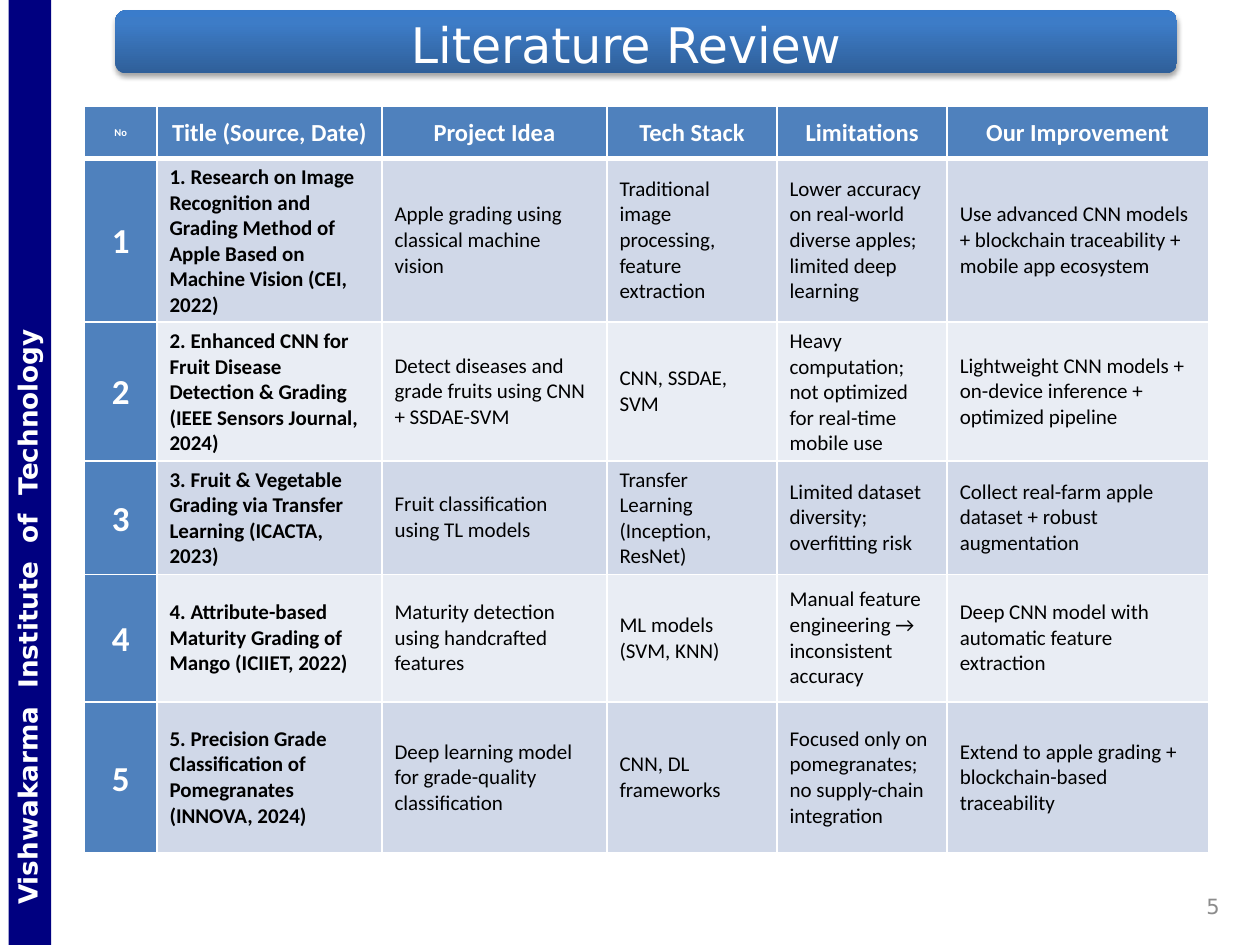
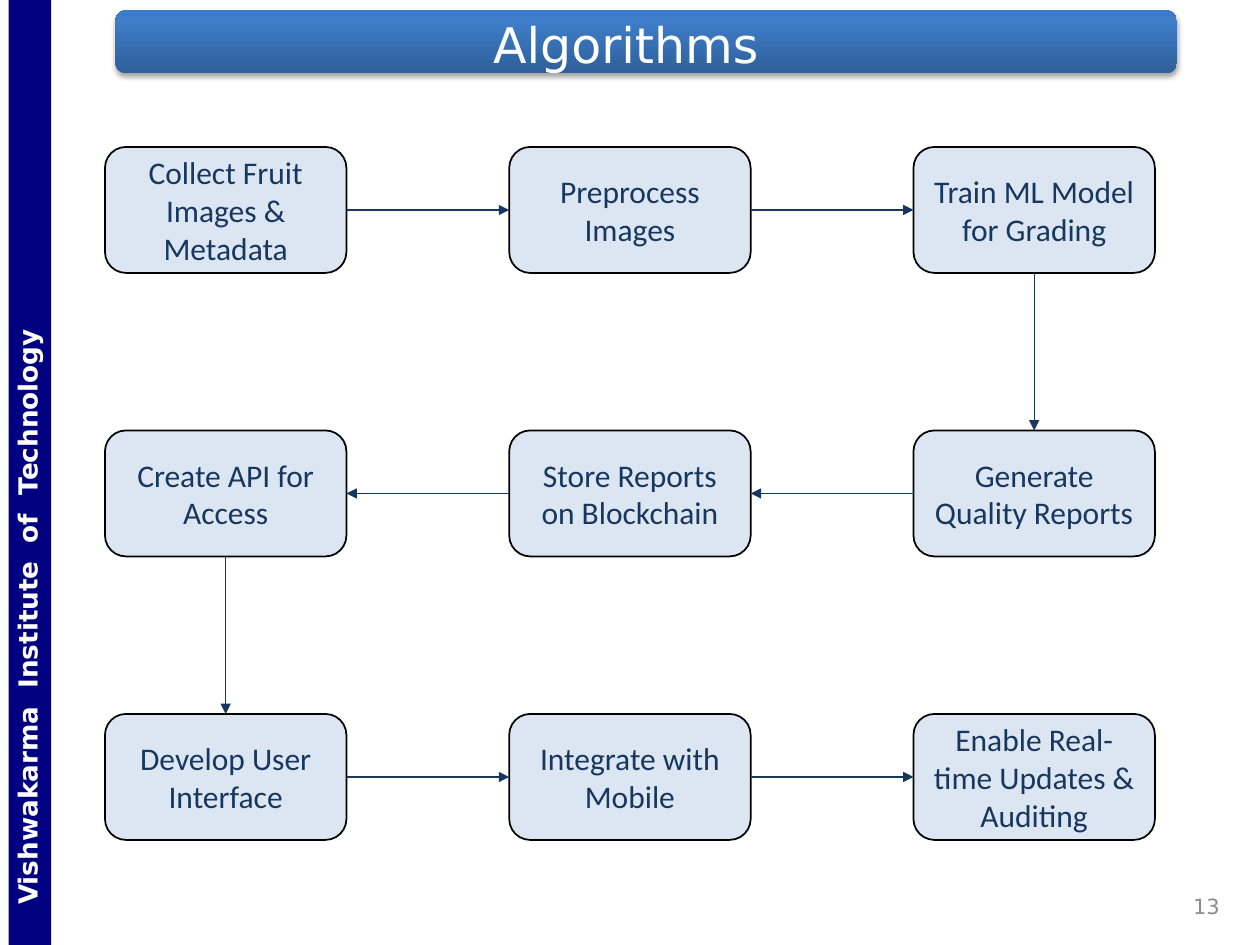
from pptx import Presentation
from pptx import util as u
from pptx.dml.color import RGBColor
from pptx.enum import shapes, text
from pptx.oxml import parse_xml
from pptx.oxml.ns import nsdecls, qn

Pt = u.Pt
ALIGN = text.PP_ALIGN
MIDDLE = text.MSO_ANCHOR.MIDDLE
WIDTH, HEIGHT = 720, 540
BODY_FONT, FRAME_FONT = "Calibri", "DejaVu Sans"
WHITE, BLACK, NAVY, GREY = "FFFFFF", "000000", "000080", "8C8C8C"
HEADER_BLUE, ROW_TINTS = "4F81BD", ("D0D8E8", "E9EDF4")
STEP_FILL, STEP_INK = "DCE6F2", "17375E"
TITLE_GRADIENT = ((0, "2F5F99"), (80, "3D7CC7"), (100, "3A7CCB"))
INSTITUTE = "Vishwakarma Institute of Technology"

COLUMN_WIDTHS = (41.4, 128.6, 128.6, 97.2, 97.2, 149.2)
ROW_HEIGHTS = (30, 86.4, 73, 60, 73, 86.4)
HEADINGS = ("No", "Title (Source, Date)", "Project Idea", "Tech Stack",
            "Limitations", "Our Improvement")
PAPERS = (
    ("1. Research on Image Recognition and Grading Method of Apple Based on Machine Vision (CEI, 2022)",
     "Apple grading using classical machine vision",
     "Traditional image processing, feature extraction",
     "Lower accuracy on real-world diverse apples; limited deep learning",
     "Use advanced CNN models + blockchain traceability + mobile app ecosystem"),
    ("2. Enhanced CNN for Fruit Disease Detection & Grading (IEEE Sensors Journal, 2024)",
     "Detect diseases and grade fruits using CNN + SSDAE-SVM",
     "CNN, SSDAE, SVM",
     "Heavy computation; not optimized for real-time mobile use",
     "Lightweight CNN models + on-device inference + optimized pipeline"),
    ("3. Fruit & Vegetable Grading via Transfer Learning (ICACTA, 2023)",
     "Fruit classification using TL models",
     "Transfer Learning (Inception, ResNet)",
     "Limited dataset diversity; overfitting risk",
     "Collect real-farm apple dataset + robust augmentation"),
    ("4. Attribute-based Maturity Grading of Mango (ICIIET, 2022)",
     "Maturity detection using handcrafted features",
     "ML models (SVM, KNN)",
     "Manual feature engineering → inconsistent accuracy",
     "Deep CNN model with automatic feature extraction"),
    ("5. Precision Grade Classification of Pomegranates (INNOVA, 2024)",
     "Deep learning model for grade-quality classification",
     "CNN, DL frameworks",
     "Focused only on pomegranates; no supply-chain integration",
     "Extend to apple grading + blockchain-based traceability"),
)
STEPS = (
    "Collect Fruit Images & Metadata", "Preprocess Images", "Train ML Model for Grading",
    "Generate Quality Reports", "Store Reports on Blockchain", "Create API for Access",
    "Develop User Interface", "Integrate with Mobile", "Enable Real-time Updates & Auditing",
)


def color(value):
    return RGBColor.from_string(value)


def write(frame, words, size, ink, font=BODY_FONT, bold=False, align=ALIGN.LEFT,
          line_spacing=None, word_gap=0):
    """Fill a text frame; word_gap widens each space, in points."""
    paragraph = frame.paragraphs[0]
    paragraph.alignment = align
    if line_spacing:
        paragraph.line_spacing = line_spacing
    pieces = words.replace(" ", "| |").split("|") if word_gap else [words]
    for piece in pieces:
        run = paragraph.add_run()
        run.text = piece
        run.font.size, run.font.name, run.font.bold = Pt(size), font, bold
        run.font.color.rgb = color(ink)
        if piece == " ":
            run._r.get_or_add_rPr().set("spc", str(round(word_gap * 100)))


def set_insets(holder, left, top, right, bottom):
    holder.margin_left, holder.margin_top = Pt(left), Pt(top)
    holder.margin_right, holder.margin_bottom = Pt(right), Pt(bottom)


def add_panel(slide, kind, box, fill=None, line=None):
    shape = slide.shapes.add_shape(kind, *map(Pt, box))
    shape.shadow.inherit = False
    if fill:
        shape.fill.solid()
        shape.fill.fore_color.rgb = color(fill)
    else:
        shape.fill.background()
    if line:
        shape.line.color.rgb, shape.line.width = color(line), Pt(1)
    else:
        shape.line.fill.background()
    shape.text_frame.word_wrap = True
    return shape


def add_label(slide, box, words, **style):
    frame = slide.shapes.add_textbox(*map(Pt, box)).text_frame
    frame.word_wrap = True
    frame.vertical_anchor = MIDDLE
    write(frame, words, font=FRAME_FONT, **style)
    return frame


def add_title_bar(slide, box):
    properties = add_panel(slide, shapes.MSO_SHAPE.ROUNDED_RECTANGLE, box)._element.spPr
    stops = "".join(f'<a:gs pos="{place * 1000}"><a:srgbClr val="{value}"/></a:gs>'
                    for place, value in TITLE_GRADIENT)
    properties.replace(properties.find(qn("a:noFill")), parse_xml(
        f'<a:gradFill {nsdecls("a")} rotWithShape="1"><a:gsLst>{stops}</a:gsLst>'
        '<a:lin ang="16200000" scaled="0"/></a:gradFill>'))
    properties.find(qn("a:effectLst")).append(parse_xml(
        f'<a:outerShdw {nsdecls("a")} blurRad="{Pt(3.1)}" dist="{Pt(1.8)}" dir="5400000" '
        f'rotWithShape="0"><a:srgbClr val="{BLACK}"><a:alpha val="35000"/></a:srgbClr>'
        '</a:outerShdw>'))


def add_institute_band(slide, left, width):
    """Draw a full-height band whose text reads upwards."""
    box = (left + (width - HEIGHT) / 2, (HEIGHT - width) / 2, HEIGHT, width)
    band = add_panel(slide, shapes.MSO_SHAPE.RECTANGLE, box, fill=NAVY)
    band.rotation = 270
    frame = band.text_frame
    frame.vertical_anchor = text.MSO_ANCHOR.TOP
    set_insets(frame, 22.9, 1.5, 7.2, 4)
    write(frame, INSTITUTE, 15, WHITE, font=FRAME_FONT, bold=True, word_gap=5.2)


def add_base_slide(presentation, title, number):
    slide = presentation.slides.add_slide(presentation.slide_layouts[6])
    add_title_bar(slide, (66, 6, 606.5, 36))
    add_institute_band(slide, 5, 24.3)
    page = add_label(slide, (582, 510, 126, 15), str(number), size=12, ink=GREY,
                     align=ALIGN.RIGHT)
    page.margin_right = Pt(11)
    add_label(slide, (129.6, 0, 456, 50.4), title, size=28, ink=WHITE, align=ALIGN.CENTER)
    return slide


def set_borders(cell, **widths):
    """Draw white cell borders; widths by side L, R, T, B, else 1 point."""
    properties = cell._tc.get_or_add_tcPr()
    for side in "LRTB":
        properties.append(parse_xml(
            f'<a:ln{side} {nsdecls("a")} w="{Pt(widths.get(side, 1))}"><a:solidFill>'
            f'<a:srgbClr val="{WHITE}"/></a:solidFill></a:ln{side}>'))


def add_review_table(slide, left, top):
    rows = [HEADINGS] + [(str(n), *paper) for n, paper in enumerate(PAPERS, 1)]
    box = (left, top, sum(COLUMN_WIDTHS), sum(ROW_HEIGHTS))
    table = slide.shapes.add_table(len(rows), len(HEADINGS), *map(Pt, box)).table
    for column, width in zip(table.columns, COLUMN_WIDTHS):
        column.width = Pt(width)
    for r, (row, height) in enumerate(zip(rows, ROW_HEIGHTS)):
        table.rows[r].height = Pt(height)
        for c, words in enumerate(row):
            cell = table.cell(r, c)
            heading = r == 0 or c == 0
            set_borders(cell, **({"B": 3} if r == 0 else {"T": 3} if r == 1 else {}))
            cell.fill.solid()
            cell.fill.fore_color.rgb = color(HEADER_BLUE if heading else ROW_TINTS[(r - 1) % 2])
            cell.vertical_anchor = MIDDLE
            if heading:
                set_insets(cell, 0, 0, 0, 0)
                size = 20 if r else 14 if c else 6
                write(cell.text_frame, words, size, WHITE, bold=True, align=ALIGN.CENTER,
                      line_spacing=1.07)
            else:
                write(cell.text_frame, words, 12, BLACK, bold=c == 1)


def add_arrow(slide, start, start_site, end, end_site):
    arrow = slide.shapes.add_connector(shapes.MSO_CONNECTOR.STRAIGHT, 0, 0, 0, 0)
    arrow.begin_connect(start, start_site)
    arrow.end_connect(end, end_site)
    arrow.line.color.rgb, arrow.line.width = color(STEP_INK), Pt(0.75)
    arrow.line._get_or_add_ln().append(parse_xml(f'<a:tailEnd {nsdecls("a")} type="triangle"/>'))
    arrow._element.spPr.append(parse_xml(f'<a:effectLst {nsdecls("a")}/>'))


def add_step_flow(slide, left, top, columns=3):
    """Lay the steps out in rows that run right and left in turn."""
    width, height, pitch_x, pitch_y = 138, 72, 231, 162
    top_site, left_site, bottom_site, right_site = range(4)
    boxes = []
    for index, words in enumerate(STEPS):
        row, column = divmod(index, columns)
        if row % 2:
            column = columns - 1 - column
        box = (left + column * pitch_x, top + row * pitch_y, width, height)
        shape = add_panel(slide, shapes.MSO_SHAPE.ROUNDED_RECTANGLE, box, STEP_FILL, BLACK)
        shape.text_frame.vertical_anchor = MIDDLE
        write(shape.text_frame, words, 18, STEP_INK, align=ALIGN.CENTER)
        boxes.append(shape)
    for start, end in zip(boxes, boxes[1:]):
        if start.top != end.top:
            sites = bottom_site, top_site
        elif start.left < end.left:
            sites = right_site, left_site
        else:
            sites = left_site, right_site
        add_arrow(slide, start, sites[0], end, sites[1])


def main():
    presentation = Presentation()
    presentation.slide_width, presentation.slide_height = Pt(WIDTH), Pt(HEIGHT)
    add_review_table(add_base_slide(presentation, "Literature Review", 5), 48.3, 60.5)
    add_step_flow(add_base_slide(presentation, "Algorithms", 13), 60, 84)
    presentation.save("out.pptx")


if __name__ == "__main__":
    main()
